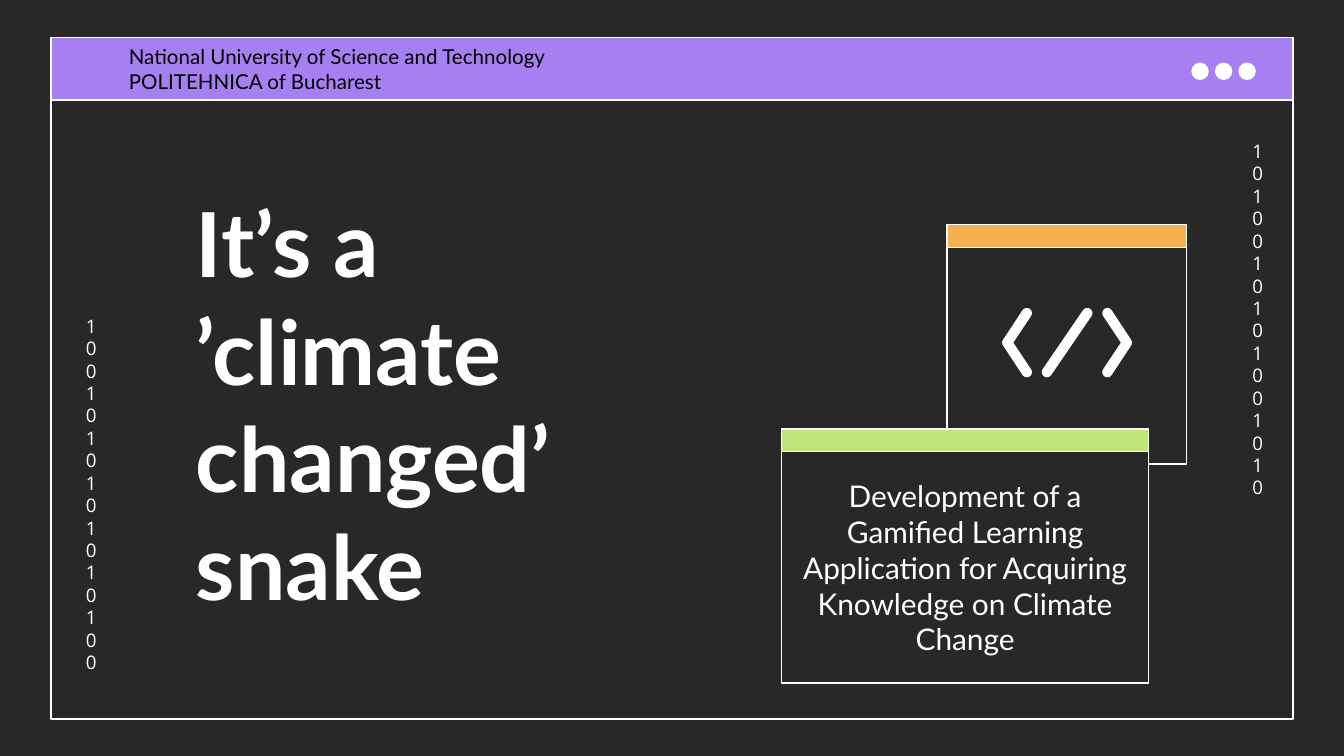
"""Build the title slide with its window frames, code icon and digit columns."""
from math import cos, radians, sin

from pptx import Presentation
from pptx.dml.color import RGBColor
from pptx.enum.shapes import MSO_SHAPE
from pptx.enum.text import MSO_ANCHOR, PP_ALIGN
from pptx.util import Pt

DARK = RGBColor(0x29, 0x28, 0x28)
WHITE = RGBColor(0xFF, 0xFF, 0xFF)
BLACK = RGBColor(0, 0, 0)
PURPLE = RGBColor(0xA6, 0x7F, 0xF1)
ORANGE = RGBColor(0xF5, 0xB1, 0x50)
GREEN = RGBColor(0xC0, 0xE6, 0x7A)

deck = Presentation()
deck.slide_width, deck.slide_height = Pt(720), Pt(405)
slide = deck.slides.add_slide(deck.slide_layouts[6])
slide.background.fill.solid()
slide.background.fill.fore_color.rgb = DARK
shapes = slide.shapes


def add_box(kind, left, top, width, height, fill=None):
    box = shapes.add_shape(kind, Pt(left), Pt(top), Pt(width), Pt(height))
    box.shadow.inherit = False
    if fill is None:
        box.fill.background()
    else:
        box.fill.solid()
        box.fill.fore_color.rgb = fill
    box.line.color.rgb = WHITE
    box.line.width = Pt(0.75)
    return box


def set_text(box, text, font, size, color, align, anchor, pad=7.2):
    frame = box.text_frame
    frame.word_wrap = True
    frame.vertical_anchor = anchor
    frame.margin_left = frame.margin_right = Pt(7.2)
    frame.margin_top = frame.margin_bottom = Pt(pad)
    frame.text = text
    line = frame.paragraphs[0]
    line.alignment = align
    style = line.runs[0].font
    style.name, style.size = font, Pt(size)
    style.color.rgb = color
    return style


add_box(MSO_SHAPE.RECTANGLE, 27.4, 20.2, 665.2, 365)
add_box(MSO_SHAPE.RECTANGLE, 27.4, 20.2, 665.2, 33.5, PURPLE)
for step in range(3):
    add_box(MSO_SHAPE.OVAL, 638.6 + 12.6 * step, 33.9, 8.6, 8.6, WHITE)

for left, top, digits in ((663.9, 67.7, "1010010101001010"),
                          (38.9, 161.3, "1001010101010100")):
    column = shapes.add_textbox(Pt(left), Pt(top), Pt(17.3), Pt(201.6))
    set_text(column, digits, "Open Sans", 10, WHITE, PP_ALIGN.CENTER, MSO_ANCHOR.TOP)

add_box(MSO_SHAPE.RECTANGLE, 507.4, 120.4, 128.2, 128.2)
add_box(MSO_SHAPE.RECTANGLE, 507.4, 120.4, 128.2, 12.4, ORANGE)

title = shapes.add_textbox(Pt(97.9), Pt(95), Pt(284), Pt(243.4))
style = set_text(title, "It’s a ’climate changed’ snake", "Lato", 48, WHITE,
                 PP_ALIGN.LEFT, MSO_ANCHOR.BOTTOM)
style.bold = True

MID_X, MID_Y, RADIUS, TILT = 571.7, 183.6, 2.75, 55.7
bracket = ((21.6, -15.8, 90 + TILT, 270 + TILT),
           (32, 0, TILT - 90, 90 - TILT),
           (21.6, 15.8, 90 - TILT, 270 - TILT))
slash = ((10.8, -15.8, -90 - TILT, 90 - TILT),
         (-10.8, 15.8, 90 - TILT, 270 - TILT))
pen = None
for side, arcs, inner in ((1, slash, []), (1, bracket, [(28.8, 0)]),
                          (-1, bracket, [(28.8, 0)])):
    dots = []
    for x, y, start, stop in arcs:
        for step in range(13):
            turn = radians(start + (stop - start) * step / 12)
            dots.append((x + RADIUS * cos(turn), y + RADIUS * sin(turn)))
    dots = [(100 * (MID_X + side * x), 100 * (MID_Y + y)) for x, y in dots + inner]
    if pen is None:
        pen = shapes.build_freeform(*dots[0], scale=127)
    else:
        pen.move_to(*dots[0])
    pen.add_line_segments(dots[1:], close=True)
icon = pen.convert_to_shape()
icon.shadow.inherit = False
icon.fill.solid()
icon.fill.fore_color.rgb = WHITE
icon.line.fill.background()

topic = add_box(MSO_SHAPE.RECTANGLE, 418.8, 242, 196.6, 123.9, DARK)
set_text(topic, "Development of a Gamified Learning Application for Acquiring "
         "Knowledge on Climate Change", "Lato", 16, WHITE,
         PP_ALIGN.CENTER, MSO_ANCHOR.MIDDLE)
add_box(MSO_SHAPE.RECTANGLE, 418.8, 229.8, 196.6, 12.2, GREEN)

school = shapes.add_textbox(Pt(61.9), Pt(20.2), Pt(274.3), Pt(33.8))
set_text(school, "National University of Science and Technology POLITEHNICA of Bucharest",
         "Lato", 11, BLACK, PP_ALIGN.LEFT, MSO_ANCHOR.TOP, 3.6)

deck.save("out.pptx")
